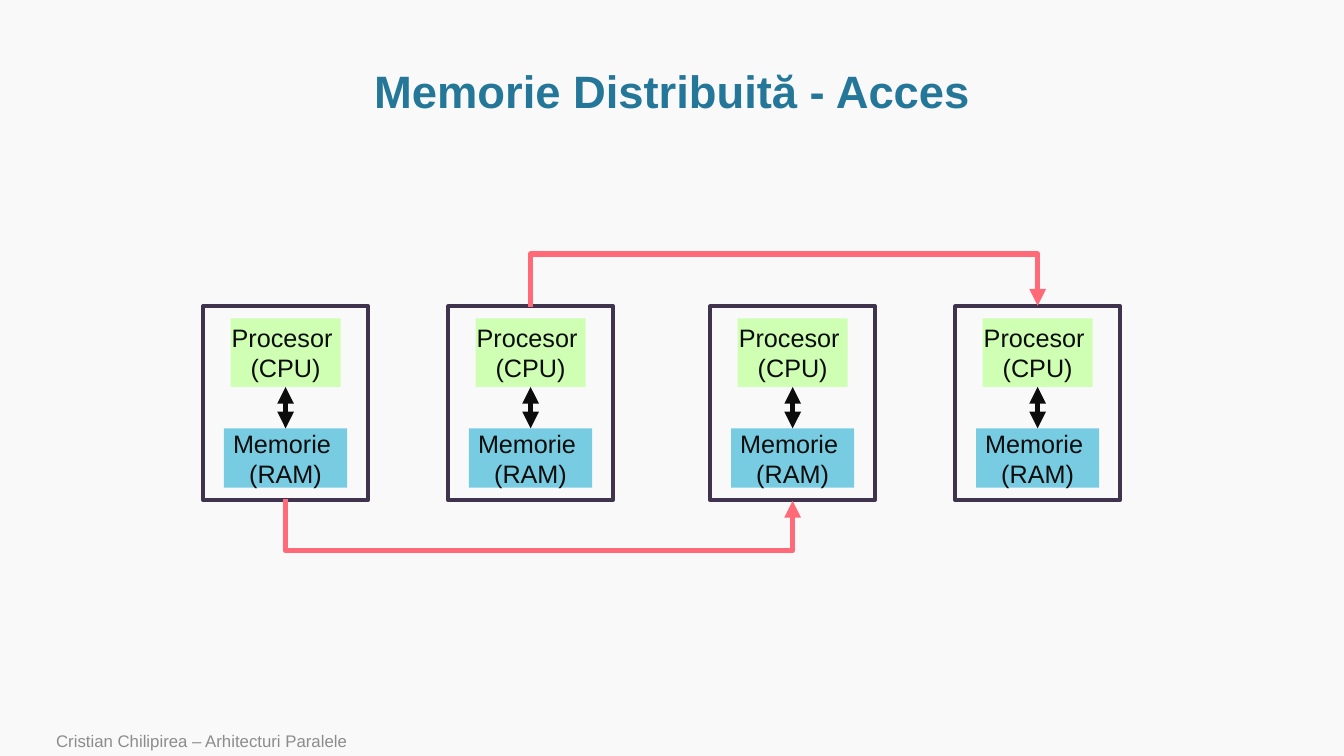
"""Build the slide about access in distributed memory."""
from lxml.etree import SubElement
from pptx import Presentation
from pptx.dml.color import RGBColor
from pptx.enum.shapes import MSO_CONNECTOR, MSO_SHAPE
from pptx.enum.text import MSO_ANCHOR, PP_ALIGN
from pptx.oxml.ns import qn
from pptx.util import Pt

TITLE = "Memorie Distribuită - Acces"
FOOTER = "Cristian Chilipirea – Arhitecturi Paralele"
PROCESSOR = ["Procesor ", "(CPU)"]
MEMORY = ["Memorie ", "(RAM)"]
COLORS = {
    "background": "F9F9F9", "title": "247798", "text": "0C0C0C",
    "processor": "CFFFB3", "memory": "78CCE2", "frame": "3F334D",
    "access": "FF6978", "footer": "8C8C8C",
}
FONT = "Arial"
FIRST_CENTER = 204
NODE_STEP = 175
PAIR_STEP = 362.2
NODE_TOP, NODE_WIDTH, NODE_HEIGHT = 218.8, 117.6, 138.4
ACCESSES = [
    {"source": 0, "y": 357.2, "depth": 36.75, "rotation": 270, "flips": ["flipH"]},
    {"source": 1, "y": 218.9, "depth": 38.25, "rotation": 90, "flips": ["flipH", "flipV"]},
]


def color(name):
    return RGBColor.from_string(COLORS[name])


def write(shape, lines, size, color_name, alignment, anchor, bold=False):
    frame = shape.text_frame
    frame.vertical_anchor = anchor
    for index, line in enumerate(lines):
        paragraph = frame.paragraphs[0] if index == 0 else frame.add_paragraph()
        paragraph.alignment = alignment
        run = paragraph.add_run()
        run.text = line
        run.font.name = FONT
        run.font.size = Pt(size)
        run.font.bold = bold
        run.font.color.rgb = color(color_name)
    return frame


def add_label(slide, box, text, *style):
    shape = slide.shapes.add_textbox(*map(Pt, box))
    frame = write(shape, [text], *style)
    frame.word_wrap = True
    return frame


def add_rectangle(slide, center, top, width, height):
    shape = slide.shapes.add_shape(
        MSO_SHAPE.RECTANGLE, Pt(center - width / 2), Pt(top), Pt(width), Pt(height))
    shape.shadow.inherit = False
    return shape


def add_part(slide, center, top, width, height, fill, lines):
    shape = add_rectangle(slide, center, top, width, height)
    shape.fill.solid()
    shape.fill.fore_color.rgb = color(fill)
    shape.line.fill.background()
    frame = write(shape, lines, 18, "text", PP_ALIGN.CENTER, MSO_ANCHOR.MIDDLE)
    frame.word_wrap = False
    return shape


def add_arrow(slide, kind, box, color_name, ends):
    connector = slide.shapes.add_connector(kind, *map(Pt, box))
    connector.line.color.rgb = color(color_name)
    connector.line.width = Pt(4)
    line = connector.line._get_or_add_ln()
    for end in ends:
        SubElement(line, qn(f"a:{end}"), type="triangle")
    SubElement(connector._element.spPr, qn("a:effectLst"))
    return connector


def add_node(slide, center):
    memory = add_part(slide, center, 306, 88, 42.4, "memory", MEMORY)
    processor = add_part(slide, center, 227.4, 78.6, 49, "processor", PROCESSOR)
    arrow = add_arrow(slide, MSO_CONNECTOR.STRAIGHT, (center, 276.4, center, 306),
                      "text", ["headEnd", "tailEnd"])
    arrow.begin_connect(processor, 2)
    arrow.end_connect(memory, 0)
    frame = add_rectangle(slide, center, NODE_TOP, NODE_WIDTH, NODE_HEIGHT)
    frame.fill.background()
    frame.line.color.rgb = color("frame")
    frame.line.width = Pt(3)


def add_access(slide, source_center, access):
    middle = source_center + PAIR_STEP / 2
    top = access["y"] - PAIR_STEP / 2
    box = (middle - 0.5, top, middle + 0.5, top + PAIR_STEP)
    connector = add_arrow(slide, MSO_CONNECTOR.ELBOW, box, "access", ["tailEnd"])
    properties = connector._element.spPr
    transform = properties.find(qn("a:xfrm"))
    transform.set("rot", str(access["rotation"] * 60000))
    for flip in access["flips"]:
        transform.set(flip, "1")
    adjustments = properties.find(qn("a:prstGeom")).find(qn("a:avLst"))
    SubElement(adjustments, qn("a:gd"), name="adj1",
               fmla=f"val {round(access['depth'] * 100000)}")


def main():
    presentation = Presentation()
    presentation.slide_width, presentation.slide_height = Pt(960), Pt(540)
    slide = presentation.slides.add_slide(presentation.slide_layouts[6])
    slide.background.fill.solid()
    slide.background.fill.fore_color.rgb = color("background")
    title = add_label(slide, (144.8, 49, 670.4, 36), TITLE, 32.4, "title",
                      PP_ALIGN.CENTER, MSO_ANCHOR.MIDDLE, True)
    title.paragraphs[0].line_spacing = 0.9
    centers = [FIRST_CENTER + pair * PAIR_STEP + node * NODE_STEP
               for pair in range(2) for node in range(2)]
    for center in centers:
        add_node(slide, center)
    for access in ACCESSES:
        add_access(slide, centers[access["source"]], access)
    add_label(slide, (33, 520, 707, 20), FOOTER, 12, "footer",
              PP_ALIGN.LEFT, MSO_ANCHOR.BOTTOM)
    presentation.save("out.pptx")


if __name__ == "__main__":
    main()
